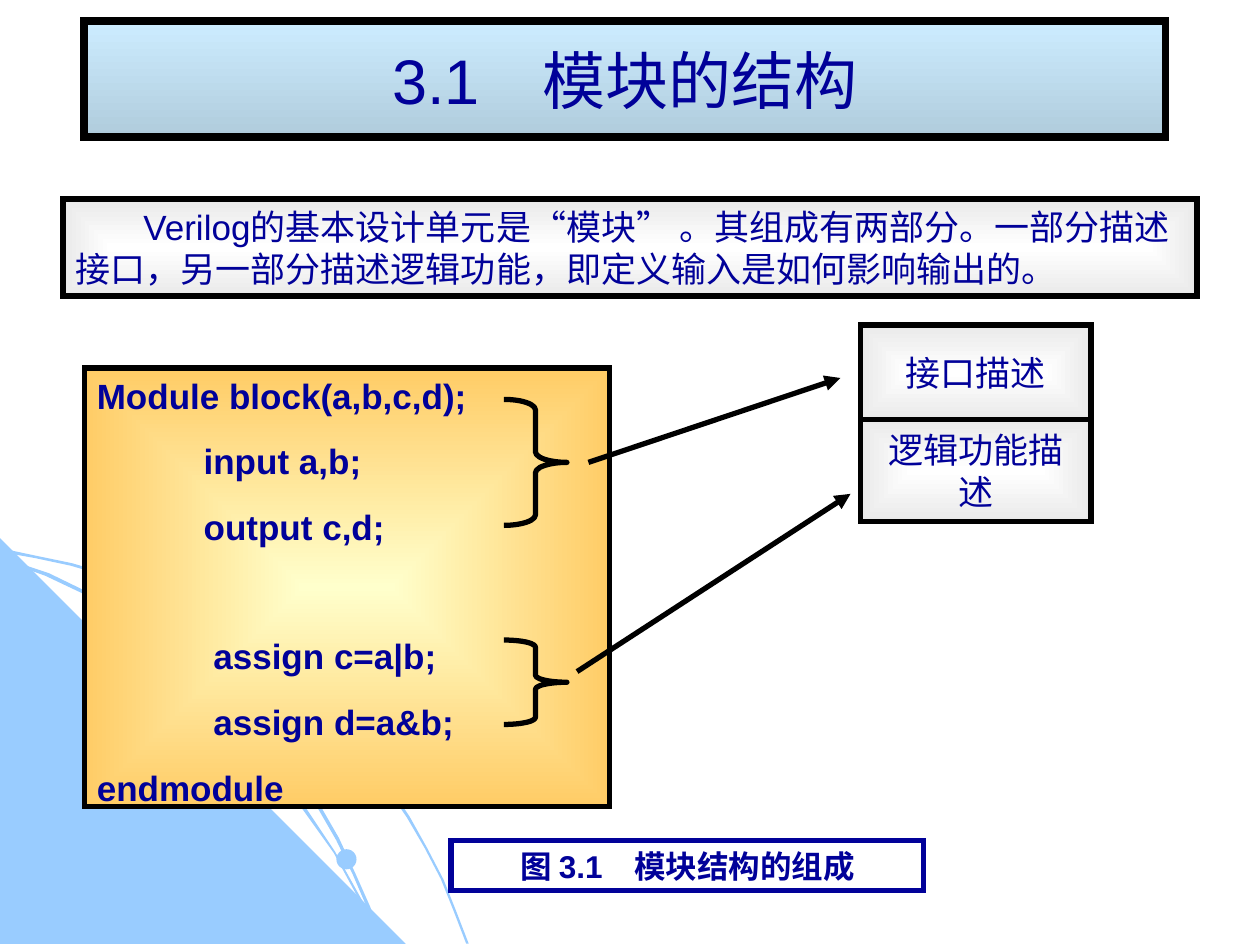
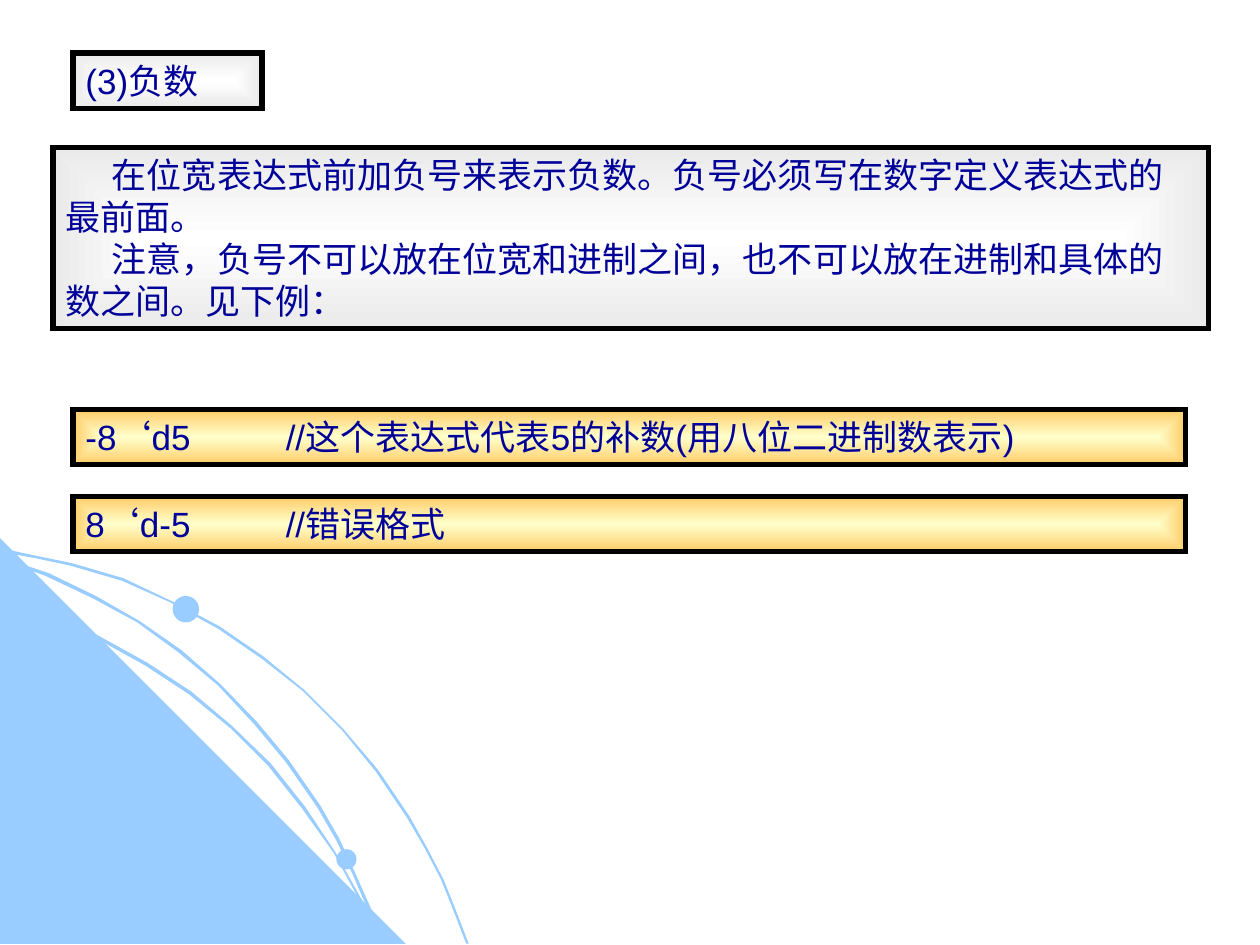
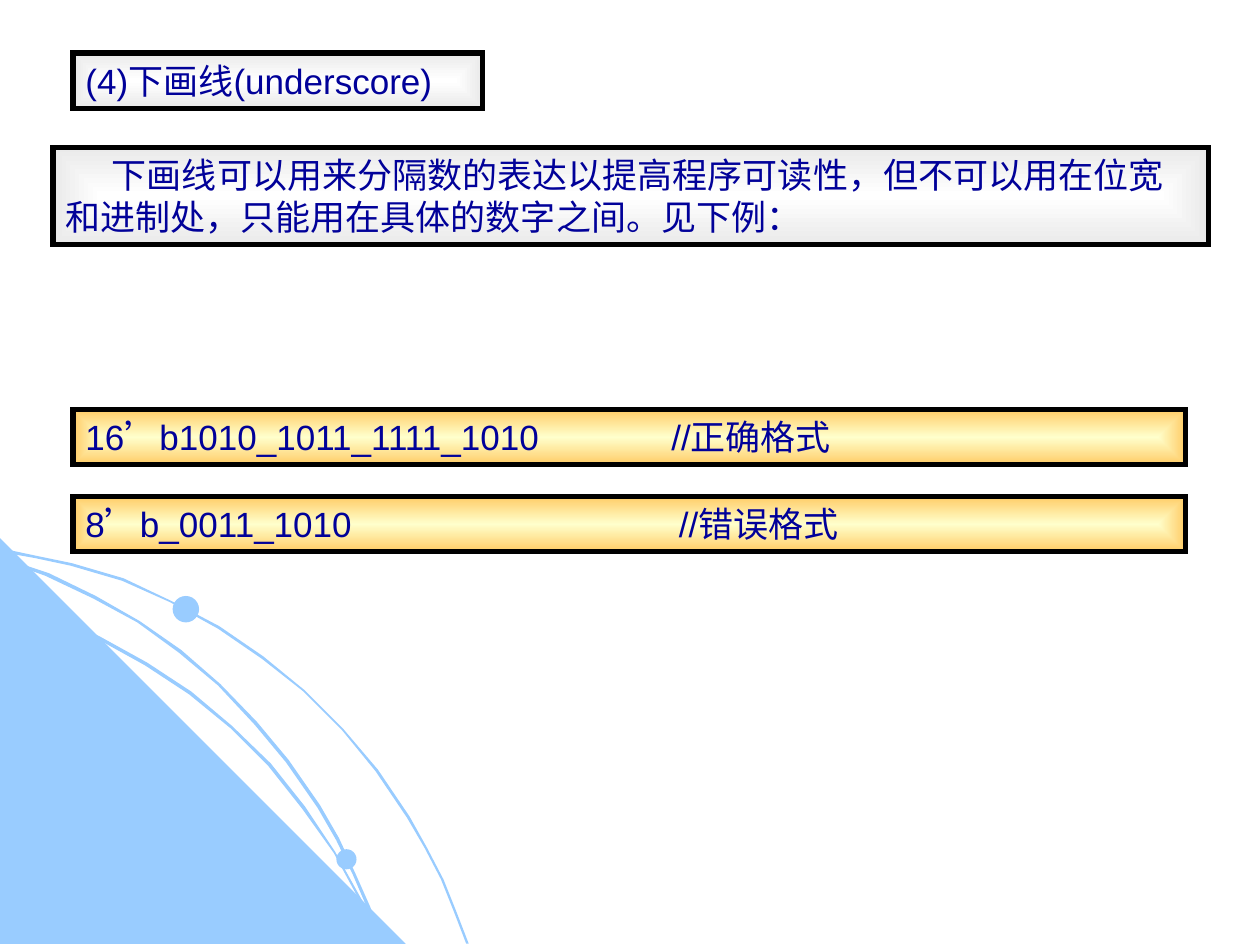
from lxml import etree
from pptx import Presentation
from pptx.dml.color import RGBColor
from pptx.enum.shapes import MSO_CONNECTOR, MSO_SHAPE
from pptx.enum.text import MSO_ANCHOR, PP_ALIGN
from pptx.oxml.ns import qn
from pptx.util import Pt

PX = 9144  # 100 px to the inch
NAVY, BLACK, SKY = "010199", "000000", "99CCFF"
GREY = ("FFFFFF", "EAEAEA")
GOLD = ("FFFFCC", "FFCC66")
ICE = ("CCECFF", "B0CCDC")

CORNER_OUTLINES = [
    [(57, 447), (28, 441), (0, 435), (0, 438), (28, 443), (56, 449), (97, 461),
     (135, 478), (173, 499), (208, 523), (241, 549), (271, 579), (298, 612),
     (323, 649), (337, 673), (350, 698), (360, 723), (370, 749), (372, 749),
     (362, 723), (352, 698), (339, 673), (325, 648), (300, 611), (272, 578),
     (242, 548), (209, 521), (174, 497), (136, 477), (98, 459)],
    [(322, 749), (0, 749), (0, 427)],
    [(285, 714), (294, 732), (301, 749), (303, 749), (296, 730), (286, 712),
     (266, 676), (242, 640), (215, 606), (184, 576), (152, 549), (117, 526),
     (79, 505), (41, 488), (0, 475), (0, 477), (39, 490), (77, 507),
     (115, 528), (150, 551), (183, 578), (213, 608), (240, 642), (265, 677)],
    [(0, 442), (0, 444), (36, 457), (74, 475), (109, 494), (142, 518),
     (173, 544), (202, 575), (227, 605), (252, 641), (267, 667), (280, 694),
     (292, 722), (301, 749), (303, 749), (294, 720), (282, 693), (269, 665),
     (254, 639), (229, 603), (204, 573), (175, 543), (144, 516), (111, 493),
     (76, 473), (39, 455)],
]
CORNER_DOTS = [(36, 483, 15), (267, 674, 16), (137, 473, 21)]


def color(fmt, value):
    """Give a colour format or a solid fill its hex colour."""
    getattr(fmt, "fore_color", fmt).rgb = RGBColor.from_string(value)


def add_box(s, at, text, size=20, bold=False, align=PP_ALIGN.LEFT, anchor=MSO_ANCHOR.TOP,
            grad=None, linear=False, border=BLACK, weight=3, indent=0, tab=0, gaps=()):
    """Add a framed text box; each line of text is a paragraph, gaps are spaces before them."""
    sp = s.shapes.add_shape(MSO_SHAPE.RECTANGLE, *[v * PX for v in at])
    sp.shadow.inherit = False
    if grad:
        sp.fill.gradient()
        for stop, value in zip(sp.fill.gradient_stops, grad):
            color(stop.color, value)
        if linear:
            sp.fill.gradient_angle = 270
        else:
            grad_fill = sp._element.spPr.find(qn("a:gradFill"))
            grad_fill.remove(grad_fill.find(qn("a:lin")))
            path = etree.SubElement(grad_fill, qn("a:path"), {"path": "rect"})
            etree.SubElement(path, qn("a:fillToRect"), dict.fromkeys("ltrb", "50000"))
    else:
        sp.fill.background()
    sp.line.width = Pt(weight)
    color(sp.line.color, border)
    etree.SubElement(sp._element.spPr.find(qn("a:ln")), qn("a:miter"), lim="800000")

    tf = sp.text_frame
    tf.word_wrap = True
    tf.vertical_anchor = anchor
    for i, line in enumerate(text.split("\n")):
        p = tf.add_paragraph() if i else tf.paragraphs[0]
        p.alignment = align
        if gaps and i:
            p.space_before = Pt(gaps[i])
        pPr = p._p.get_or_add_pPr()
        if indent:
            pPr.set("marL", "0")
            pPr.set("indent", str(indent * PX))
        if tab:
            tabs = etree.SubElement(pPr, qn("a:tabLst"))
            etree.SubElement(tabs, qn("a:tab"), pos=str(tab * PX), algn="l")
        r = p.add_run()
        r.text = line
        r.font.name = "Arial"
        r.font.size = Pt(size)
        r.font.bold = bold
        color(r.font.color, NAVY)


prs = Presentation()
prs.slide_width, prs.slide_height = 1000 * PX, 750 * PX

# Corner decoration shared by all slides
for _ in range(3):
    s = prs.slides.add_slide(prs.slide_layouts[6])
    corner = []
    for start, *points in CORNER_OUTLINES:
        outline = s.shapes.build_freeform(*start, scale=PX)
        outline.add_line_segments(points)
        corner.append(outline.convert_to_shape())
    for x, y, d in CORNER_DOTS:
        corner.append(s.shapes.add_shape(MSO_SHAPE.OVAL, x * PX, y * PX, d * PX, d * PX))
    for sp in corner:
        sp.shadow.inherit = False
        sp.fill.solid()
        color(sp.fill, SKY)
        sp.line.fill.background()
structure, negative, underscore = prs.slides

# Slide 1: module structure
add_box(structure, (50, 158, 900, 77),
        "Verilog的基本设计单元是“模块” 。其组成有两部分。一部分描述接口，"
        "另一部分描述逻辑功能，即定义输入是如何影响输出的。", grad=GREY, indent=54)
add_box(structure, (67, 17, 858, 92), "3.1　模块的结构", size=36, align=PP_ALIGN.CENTER,
        anchor=MSO_ANCHOR.MIDDLE, grad=ICE, linear=True, weight=4.5)
for y, h, part in [(258, 75, "接口描述"), (333, 81, "逻辑功能描述")]:
    add_box(structure, (683, y, 183, h), part, align=PP_ALIGN.CENTER,
            anchor=MSO_ANCHOR.MIDDLE, grad=GREY)

MODULE_CODE = """Module block(a,b,c,d);
           input a,b;
           output c,d;
            assign c=a|b;
            assign d=a&b;
endmodule"""
add_box(structure, (67, 292, 417, 348), MODULE_CODE, bold=True, grad=GOLD,
        gaps=(0, 13.5, 13.5, 50, 13.5, 13.5))

for y, h, arrow in [(317, 100, (467, 367, 667, 300)), (508, 67, (458, 533, 675, 392))]:
    brace = structure.shapes.add_shape(MSO_SHAPE.RIGHT_BRACE, 400 * PX, y * PX, 50 * PX, h * PX)
    brace.shadow.inherit = False
    brace.fill.background()
    brace.adjustments[0] = h / 12 / 50
    link = structure.shapes.add_connector(MSO_CONNECTOR.STRAIGHT, *[v * PX for v in arrow])
    for sp in (brace, link):
        sp.line.width = Pt(3)
        color(sp.line.color, BLACK)
    spPr = link._element.spPr
    etree.SubElement(spPr.find(qn("a:ln")), qn("a:tailEnd"), type="triangle")
    etree.SubElement(spPr, qn("a:effectLst"))

add_box(structure, (358, 667, 375, 40), "图 3.1　模块结构的组成", size=18, bold=True,
        align=PP_ALIGN.CENTER, border=NAVY)

# Slides 2 and 3: rule with two examples, each (text, tab position)
RULES = [
    (negative, "(3)负数", 150, 144,
     "在位宽表达式前加负号来表示负数。负号必须写在数字定义表达式的最前面。\n"
     "注意，负号不可以放在位宽和进制之间，也不可以放在进制和具体的数之间。见下例：",
     [("-8‘d5\t//这个表达式代表5的补数(用八位二进制数表示)", 159),
      ("8‘d-5\t//错误格式", 159)]),
    (underscore, "(4)下画线(underscore)", 325, 77,
     "下画线可以用来分隔数的表达以提高程序可读性，但不可以用在位宽和进制处，"
     "只能用在具体的数字之间。见下例：",
     [("16’b1010_1011_1111_1010\t//正确格式", 465),
      ("8’b_0011_1010\t//错误格式", 471)]),
]
for s, heading, heading_w, rule_h, rule, examples in RULES:
    add_box(s, (42, 117, 917, rule_h), rule, grad=GREY, indent=37)
    add_box(s, (58, 42, heading_w, 44), heading, grad=GREY)
    for i, (example, tab) in enumerate(examples):
        add_box(s, (58, 325 + 69 * i, 883, 44), example, grad=GOLD, tab=tab)

prs.save("out.pptx")
